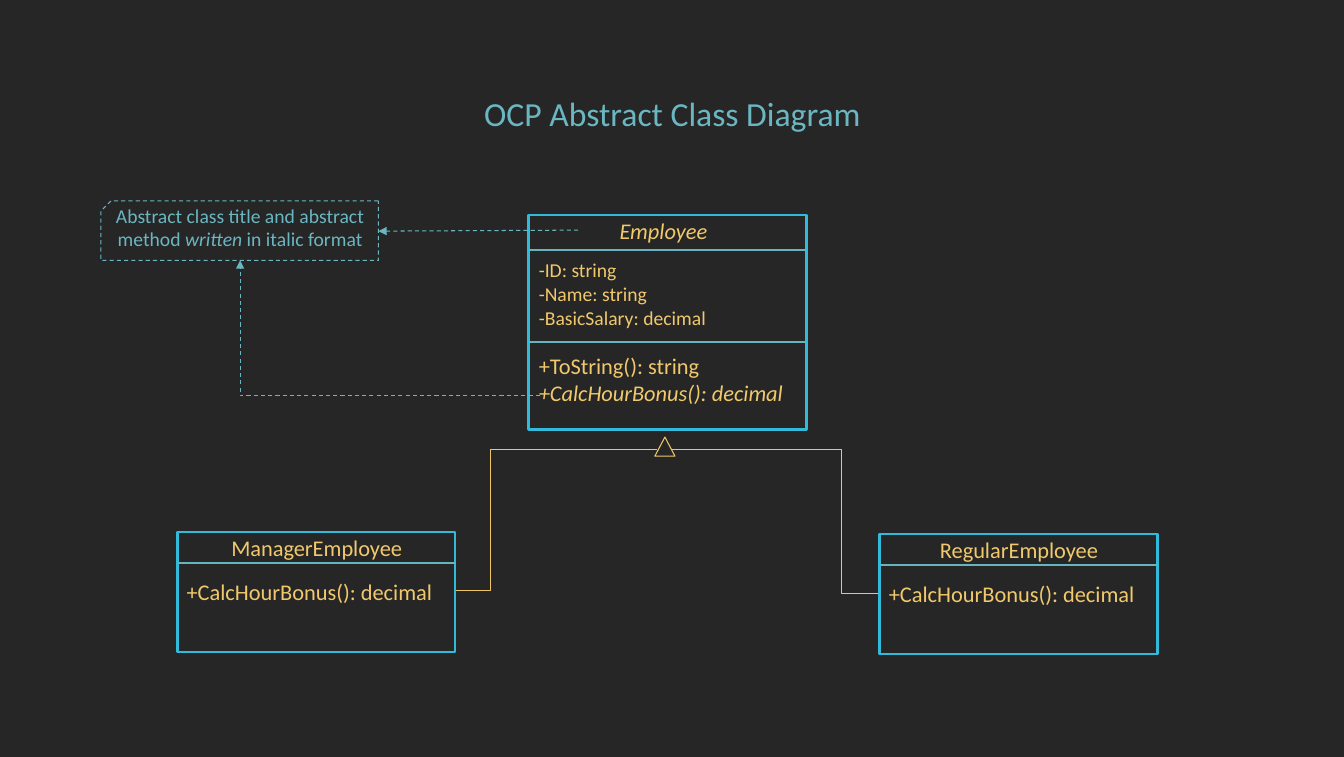
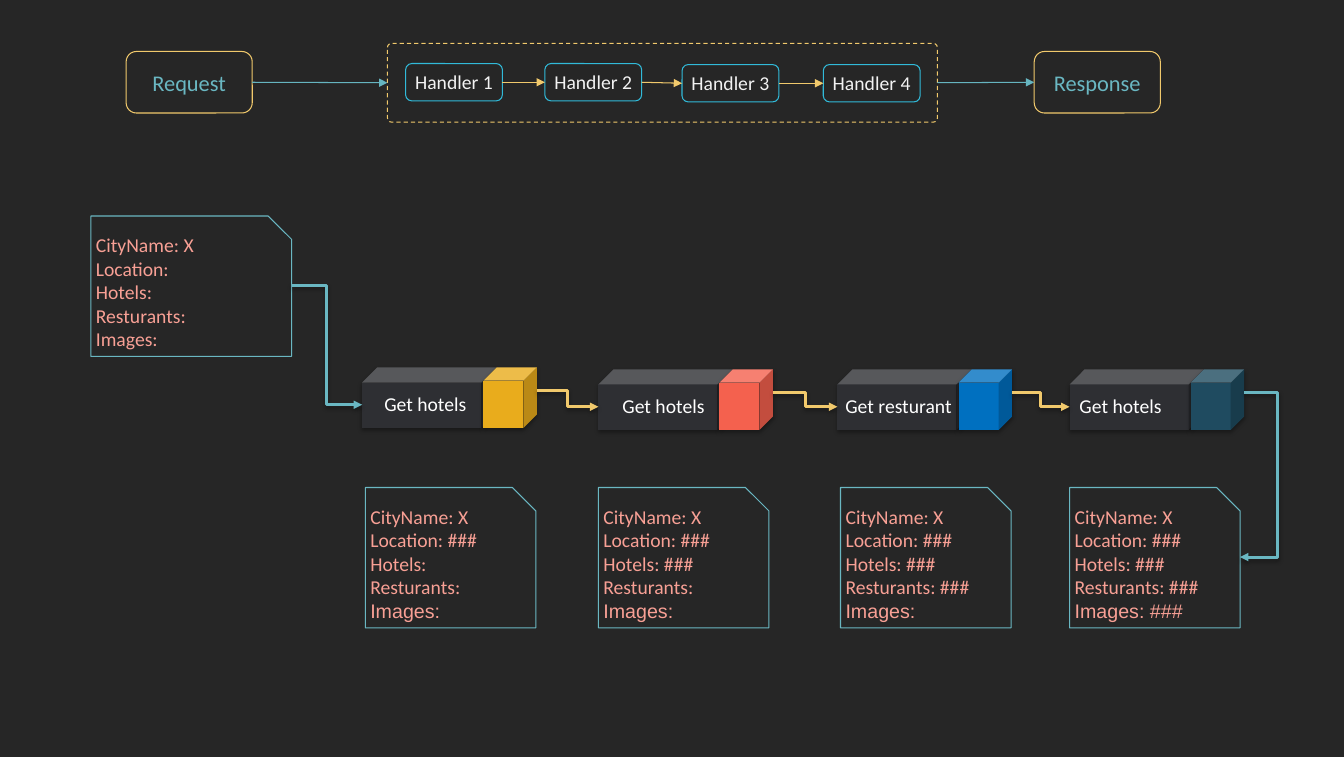
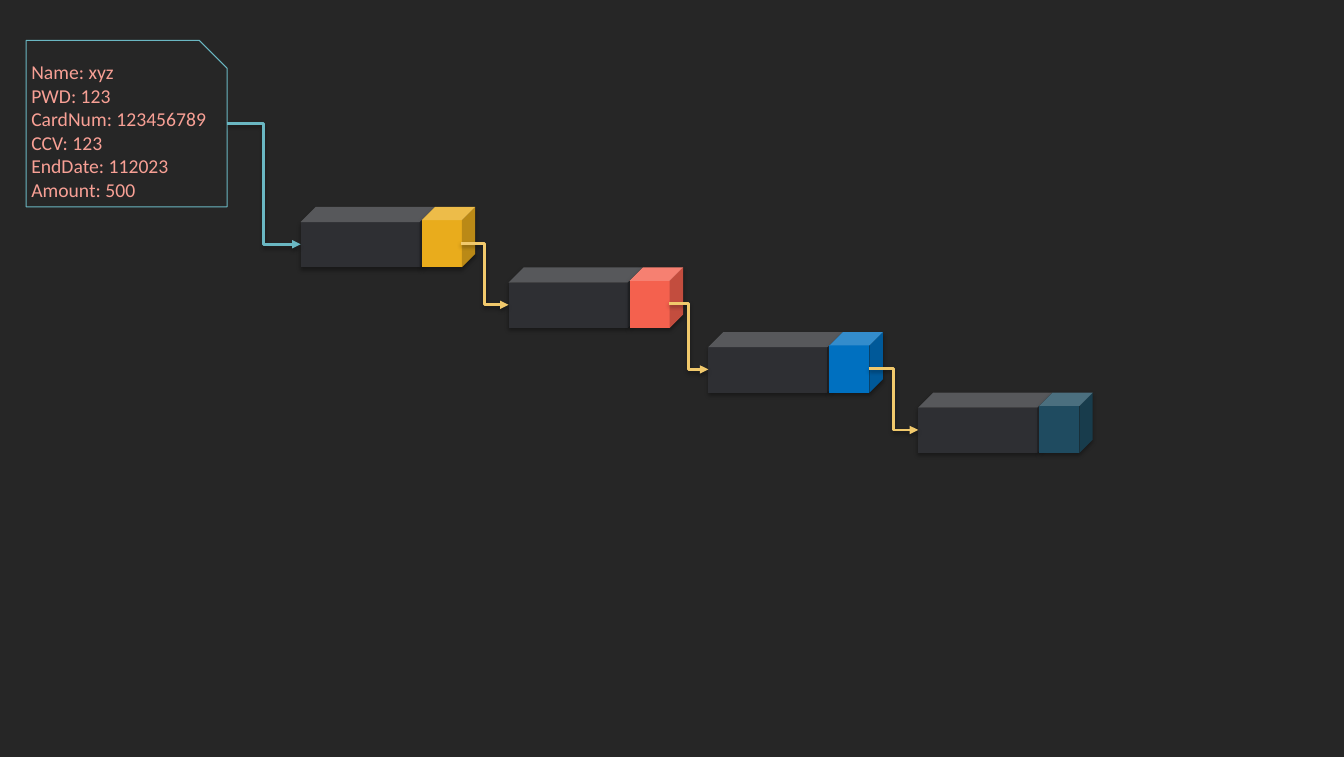
from dataclasses import dataclass

from lxml import etree
from pptx import Presentation
from pptx.dml.color import RGBColor
from pptx.enum.dml import MSO_LINE
from pptx.enum.shapes import MSO_CONNECTOR, MSO_SHAPE
from pptx.enum.text import MSO_ANCHOR, PP_ALIGN
from pptx.oxml.ns import qn
from pptx.shapes.autoshape import Shape
from pptx.shapes.connector import Connector
from pptx.slide import Slide
from pptx.text.text import TextFrame
from pptx.util import Emu, Pt

EMU_PER_PX = 9144
DASH = MSO_LINE.DASH
STRAIGHT, ELBOW = MSO_CONNECTOR.STRAIGHT, MSO_CONNECTOR.ELBOW
RECT, ROUNDED = MSO_SHAPE.RECTANGLE, MSO_SHAPE.ROUNDED_RECTANGLE
CUBE, SNIPPED = MSO_SHAPE.CUBE, MSO_SHAPE.SNIP_1_RECTANGLE
TRIANGLE = MSO_SHAPE.ISOSCELES_TRIANGLE
LEFT, CENTER = PP_ALIGN.LEFT, PP_ALIGN.CENTER
TOP, MIDDLE = MSO_ANCHOR.TOP, MSO_ANCHOR.MIDDLE
LEFT_SIDE, RIGHT_SIDE = 1, 3
TITLE_ONLY, BLANK = 5, 6


@dataclass(frozen=True)
class Theme:
    background: str = "262626"
    teal: str = "6AB7C2"
    divider: str = "65B4C0"
    flow: str = "66B5C0"
    cyan: str = "31BAD9"
    sand: str = "F1C96C"
    inherit: str = "EFC666"
    salmon: str = "F8A095"
    pale: str = "F2F2F2"
    white: str = "FFFFFF"
    slate: str = "2E2F33"
    gold: str = "E9AC1C"
    coral: str = "F4614E"
    blue: str = "0070C0"
    petrol: str = "1F4B60"
    font: str = "Calibri"
    alternate_font: str = "Arial"
    title: int = 24
    body: int = 16
    small: int = 14
    thin: float = 0.75
    medium: float = 1.5
    thick: float = 2


THEME = Theme()


@dataclass(frozen=True)
class Box:
    x: int
    y: int
    w: int
    h: int

    @property
    def right_middle(self) -> tuple[int, int]:
        return self.x + self.w, self.y + self.h // 2


@dataclass(frozen=True)
class Run:
    text: str
    italic: bool = False
    font: str = THEME.font


@dataclass(frozen=True)
class TextStyle:
    color: str
    size: int = THEME.small
    align: PP_ALIGN = LEFT
    anchor: MSO_ANCHOR = TOP
    inset: int = 5


@dataclass(frozen=True)
class Stroke:
    color: str
    width: float = THEME.thin
    dashed: bool = False


@dataclass(frozen=True)
class Step:
    x: int
    y: int
    color: str


@dataclass(frozen=True)
class StepLabel:
    text: str
    x: int
    w: int


Paragraphs = list[list[Run]]
TEAL_LINE = Stroke(THEME.teal)
TEAL_DASHES = Stroke(THEME.teal, dashed=True)
SAND_LINE = Stroke(THEME.sand)
CLASS_BORDER = Stroke(THEME.cyan, THEME.thick)
DIVIDER = Stroke(THEME.divider, THEME.medium)
MEMBER = TextStyle(THEME.sand, THEME.body)
FIELD = TextStyle(THEME.sand)
CLASS_NAME = TextStyle(THEME.sand, THEME.body, CENTER)
ENDPOINT = TextStyle(THEME.teal, THEME.body, CENTER, MIDDLE)
NOTE = TextStyle(THEME.salmon, anchor=MIDDLE)
STEP_COLORS = (THEME.gold, THEME.coral, THEME.blue, THEME.petrol)


def px(length: int) -> Emu:
    return Emu(length * EMU_PER_PX)


def bounds(box: Box) -> tuple[Emu, Emu, Emu, Emu]:
    return px(box.x), px(box.y), px(box.w), px(box.h)


def lines(*texts: str) -> Paragraphs:
    return [[Run(text)] for text in texts]


def write(frame: TextFrame, paragraphs: Paragraphs, style: TextStyle) -> None:
    frame.word_wrap = True
    frame.vertical_anchor = style.anchor
    frame.margin_left = frame.margin_right = px(style.inset)
    frame.margin_top = frame.margin_bottom = px(5)
    for index, runs in enumerate(paragraphs):
        paragraph = frame.add_paragraph() if index else frame.paragraphs[0]
        paragraph.alignment = style.align
        for part in runs:
            run = paragraph.add_run()
            run.text = part.text
            run.font.name = part.font
            run.font.size = Pt(style.size)
            run.font.italic = part.italic
            run.font.color.rgb = RGBColor.from_string(style.color)


def add_text(slide: Slide, box: Box, paragraphs: Paragraphs, style: TextStyle) -> None:
    write(slide.shapes.add_textbox(*bounds(box)).text_frame, paragraphs, style)


def apply_stroke(shape: Shape | Connector, stroke: Stroke, arrow: bool = False) -> None:
    shape.line.color.rgb = RGBColor.from_string(stroke.color)
    shape.line.width = Pt(stroke.width)
    if stroke.dashed:
        shape.line.dash_style = DASH
    if arrow:
        outline = shape._element.spPr.find(qn("a:ln"))
        etree.SubElement(outline, qn("a:tailEnd"), type="triangle")


def add_shadow(effects: etree._Element) -> None:
    shadow = etree.SubElement(
        effects, qn("a:outerShdw"), blurRad=str(Pt(3)), dist=str(Pt(1.8)),
        dir="5400000", algn="ctr", rotWithShape="0",
    )
    color = etree.SubElement(shadow, qn("a:srgbClr"), val="000000")
    etree.SubElement(color, qn("a:alpha"), val="35000")


def add_outline(slide: Slide, kind: MSO_SHAPE, box: Box, stroke: Stroke) -> Shape:
    shape = slide.shapes.add_shape(kind, *bounds(box))
    shape.fill.background()
    apply_stroke(shape, stroke)
    shape.shadow.inherit = False
    return shape


def add_cube(slide: Slide, box: Box, color: str) -> None:
    cube = slide.shapes.add_shape(CUBE, *bounds(box))
    cube.fill.solid()
    cube.fill.fore_color.rgb = RGBColor.from_string(color)
    cube.line.fill.background()
    cube.shadow.inherit = False
    add_shadow(cube._element.spPr.find(qn("a:effectLst")))


def add_line(
    slide: Slide,
    start: tuple[int, int],
    end: tuple[int, int],
    stroke: Stroke,
    kind: MSO_CONNECTOR = STRAIGHT,
    arrow: bool = False,
    shadow: bool = False,
) -> Connector:
    line = slide.shapes.add_connector(kind, *map(px, start + end))
    apply_stroke(line, stroke, arrow)
    effects = etree.SubElement(line._element.spPr, qn("a:effectLst"))
    if shadow:
        add_shadow(effects)
    return line


def add_path(
    slide: Slide,
    points: list[tuple[int, int]],
    stroke: Stroke,
    closed: bool = False,
    arrow: bool = False,
) -> None:
    builder = slide.shapes.build_freeform(*points[0], scale=EMU_PER_PX)
    builder.add_line_segments(points[1:], close=closed)
    path = builder.convert_to_shape()
    path.fill.background()
    apply_stroke(path, stroke, arrow)
    path.shadow.inherit = False


def add_flow(
    slide: Slide, start: tuple[int, int], end: tuple[int, int], color: str
) -> Connector:
    return add_line(slide, start, end, Stroke(color, THEME.thick), ELBOW, True, True)


def join(slide: Slide, source: Shape, target: Shape, color: str) -> None:
    line = add_line(slide, (0, 0), (0, 0), Stroke(color), arrow=True)
    line.begin_connect(source, RIGHT_SIDE)
    line.end_connect(target, LEFT_SIDE)


def add_class(slide: Slide, box: Box, dividers: tuple[int, ...]) -> None:
    add_outline(slide, RECT, box, CLASS_BORDER)
    for y in dividers:
        add_line(slide, (box.x, y), (box.x + box.w, y), DIVIDER)


def add_subclass(slide: Slide, name: str, x: int, y: int) -> None:
    add_class(slide, Box(x, y, 275, 119), (y + 31,))
    add_text(slide, Box(x + 5, y - 3, 266, 33), lines(name), CLASS_NAME)
    add_text(
        slide, Box(x + 4, y + 41, 267, 33), lines("+CalcHourBonus(): decimal"), MEMBER
    )


def add_note(slide: Slide, box: Box, paragraphs: Paragraphs) -> None:
    note = add_outline(slide, SNIPPED, box, TEAL_LINE)
    write(note.text_frame, paragraphs, NOTE)


def city_lines(filled: int) -> Paragraphs:
    fields = ("Location", "Hotels", "Resturants", "Images")
    texts = [
        f"{field}: ###" if index < filled else f"{field}:"
        for index, field in enumerate(fields)
    ]
    paragraphs = lines("CityName: X", *texts)
    if filled:
        paragraphs[-1] = [Run(texts[-1], font=THEME.alternate_font)]
    return paragraphs


def add_chain(
    slide: Slide, request: Box, steps: list[Step], exit_x: int, exit_y: int
) -> None:
    for step in steps:
        add_cube(slide, Box(step.x, step.y, 133, 60), THEME.slate)
        add_cube(slide, Box(step.x + 120, step.y, 53, 60), step.color)
    entries = [(step.x, step.y + 37) for step in steps]
    add_flow(slide, request.right_middle, entries[0], THEME.teal)
    for step, entry in zip(steps, entries[1:]):
        add_flow(slide, (step.x + exit_x, step.y + exit_y), entry, THEME.sand)


def build_class_diagram(slide: Slide) -> None:
    title = slide.shapes.title
    title.left, title.top, title.width, title.height = bounds(Box(455, 87, 423, 43))
    write(
        title.text_frame,
        lines("OCP Abstract Class Diagram"),
        TextStyle(THEME.teal, THEME.title, CENTER),
    )

    add_class(slide, Box(524, 213, 275, 213), (248, 339))
    add_text(slide, Box(609, 210, 100, 33), [[Run("Employee", True)]], MEMBER)
    add_text(
        slide,
        Box(529, 251, 264, 81),
        lines("-ID: string", "-Name: string", "-BasicSalary: decimal"),
        FIELD,
    )
    add_text(
        slide,
        Box(529, 344, 264, 61),
        [[Run("+ToString(): string")], [Run("+CalcHourBonus(): decimal", True)]],
        MEMBER,
    )
    add_subclass(slide, "ManagerEmployee", 176, 527)
    add_subclass(slide, "RegularEmployee", 872, 529)

    add_outline(slide, TRIANGLE, Box(649, 433, 20, 19), SAND_LINE)
    inheritance = Stroke(THEME.inherit)
    add_path(slide, [(452, 585), (486, 585), (486, 445), (651, 445)], inheritance)
    add_path(slide, [(666, 445), (834, 445), (834, 588), (870, 588)], inheritance)

    add_line(slide, (573, 228), (375, 229), TEAL_DASHES, arrow=True)
    add_path(
        slide,
        [(375, 199), (110, 199), (100, 209), (100, 258), (375, 258)],
        TEAL_DASHES,
        closed=True,
    )
    add_text(
        slide,
        Box(105, 197, 266, 56),
        [[
            Run("Abstract class title and abstract method "),
            Run("written", True),
            Run(" in italic format"),
        ]],
        TextStyle(THEME.teal, align=CENTER),
    )
    add_path(slide, [(535, 392), (238, 392), (238, 258)], TEAL_DASHES, arrow=True)


def add_pipeline(slide: Slide) -> None:
    endpoints = []
    for name, x in (("Request", 125), ("Response", 1025)):
        endpoint = add_outline(slide, ROUNDED, Box(x, 51, 125, 61), SAND_LINE)
        write(endpoint.text_frame, lines(name), ENDPOINT)
        endpoints.append(endpoint)
    request, response = endpoints
    pipeline = add_outline(
        slide, ROUNDED, Box(384, 43, 545, 78), Stroke(THEME.sand, dashed=True)
    )
    pipeline.adjustments[0] = 0.05
    join(slide, request, pipeline, THEME.flow)
    join(slide, pipeline, response, THEME.flow)

    handlers = []
    for number, (x, y) in enumerate(((402, 63), (540, 63), (676, 64), (816, 64)), 1):
        handler = add_outline(slide, ROUNDED, Box(x, y, 96, 37), Stroke(THEME.cyan))
        write(
            handler.text_frame,
            lines(f"Handler {number}"),
            TextStyle(THEME.pale, align=CENTER),
        )
        handlers.append(handler)
    for source, target in zip(handlers, handlers[1:]):
        join(slide, source, target, THEME.sand)


def build_city_chain(slide: Slide) -> None:
    add_pipeline(slide)
    request = Box(90, 214, 199, 139)
    add_note(slide, request, city_lines(0))
    positions = ((359, 364), (593, 366), (830, 366), (1060, 366))
    steps = [Step(x, y, color) for (x, y), color in zip(positions, STEP_COLORS)]
    exit_x, exit_y = 173, 23
    add_chain(slide, request, steps, exit_x, exit_y)

    labels = (
        StepLabel("Get hotels", 371, 108),
        StepLabel("Get hotels", 607, 108),
        StepLabel("Get resturant", 828, 130),
        StepLabel("Get hotels", 1060, 108),
    )
    for step, label in zip(steps, labels):
        add_text(
            slide,
            Box(label.x, step.y + 19, label.w, 34),
            lines(label.text),
            TextStyle(THEME.white, inset=10),
        )

    results = [Box(x, 483, 169, 139) for x in (362, 593, 833, 1060)]
    for filled, result in enumerate(results, 1):
        add_note(slide, result, city_lines(filled))
    last = steps[-1]
    final_flow = add_flow(
        slide,
        (last.x + exit_x, last.y + exit_y),
        results[-1].right_middle,
        THEME.teal,
    )
    guides = final_flow._element.spPr.find(qn("a:prstGeom")).find(qn("a:avLst"))
    etree.SubElement(guides, qn("a:gd"), name="adj1", fmla="val -830000")


def build_payment_chain(slide: Slide) -> None:
    request = Box(26, 40, 199, 165)
    add_note(
        slide,
        request,
        lines(
            "Name: xyz", "PWD: 123", "CardNum: 123456789",
            "CCV: 123", "EndDate: 112023", "Amount: 500",
        ),
    )
    positions = ((298, 205), (504, 265), (702, 329), (910, 389))
    steps = [Step(x, y, color) for (x, y), color in zip(positions, STEP_COLORS)]
    add_chain(slide, request, steps, 159, 36)


def main() -> None:
    deck = Presentation()
    deck.slide_width, deck.slide_height = px(1332), px(750)
    background = deck.slide_master.background.fill
    background.solid()
    background.fore_color.rgb = RGBColor.from_string(THEME.background)
    for layout, build in (
        (TITLE_ONLY, build_class_diagram),
        (BLANK, build_city_chain),
        (BLANK, build_payment_chain),
    ):
        build(deck.slides.add_slide(deck.slide_layouts[layout]))
    deck.save("out.pptx")


if __name__ == "__main__":
    main()
